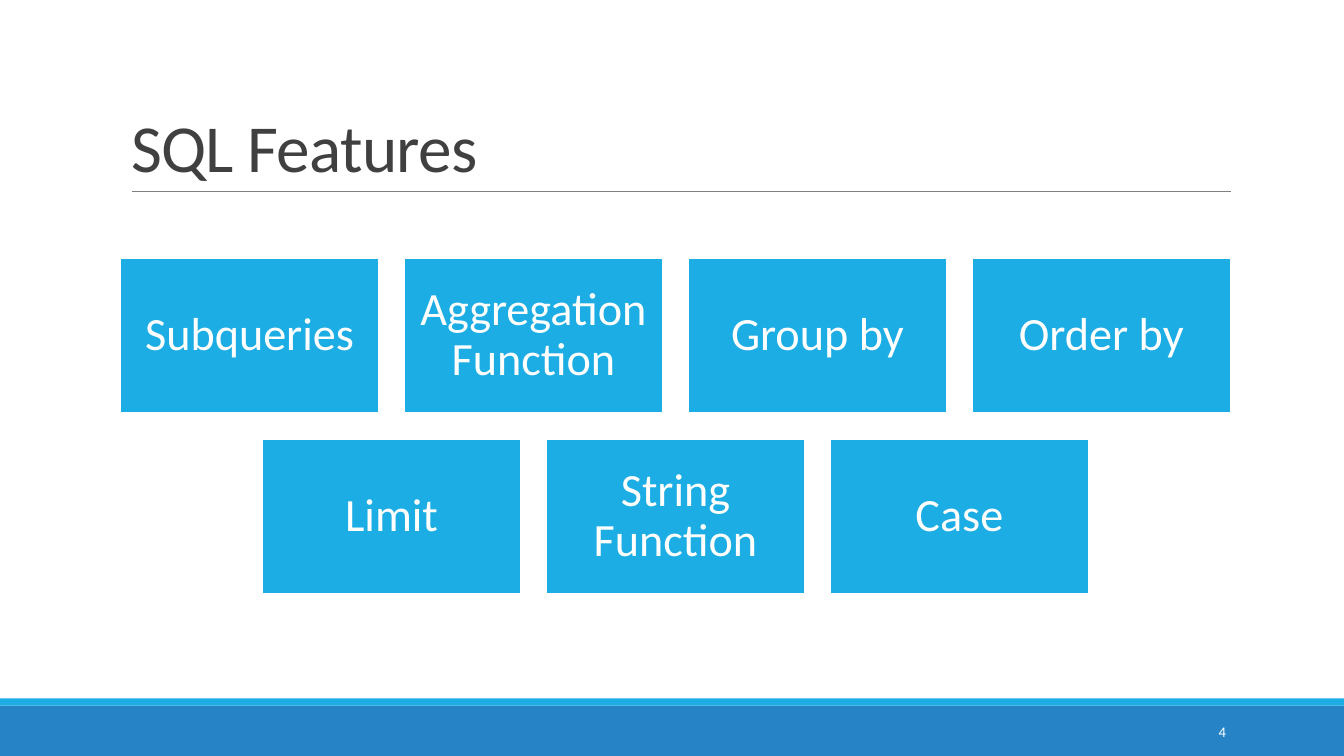
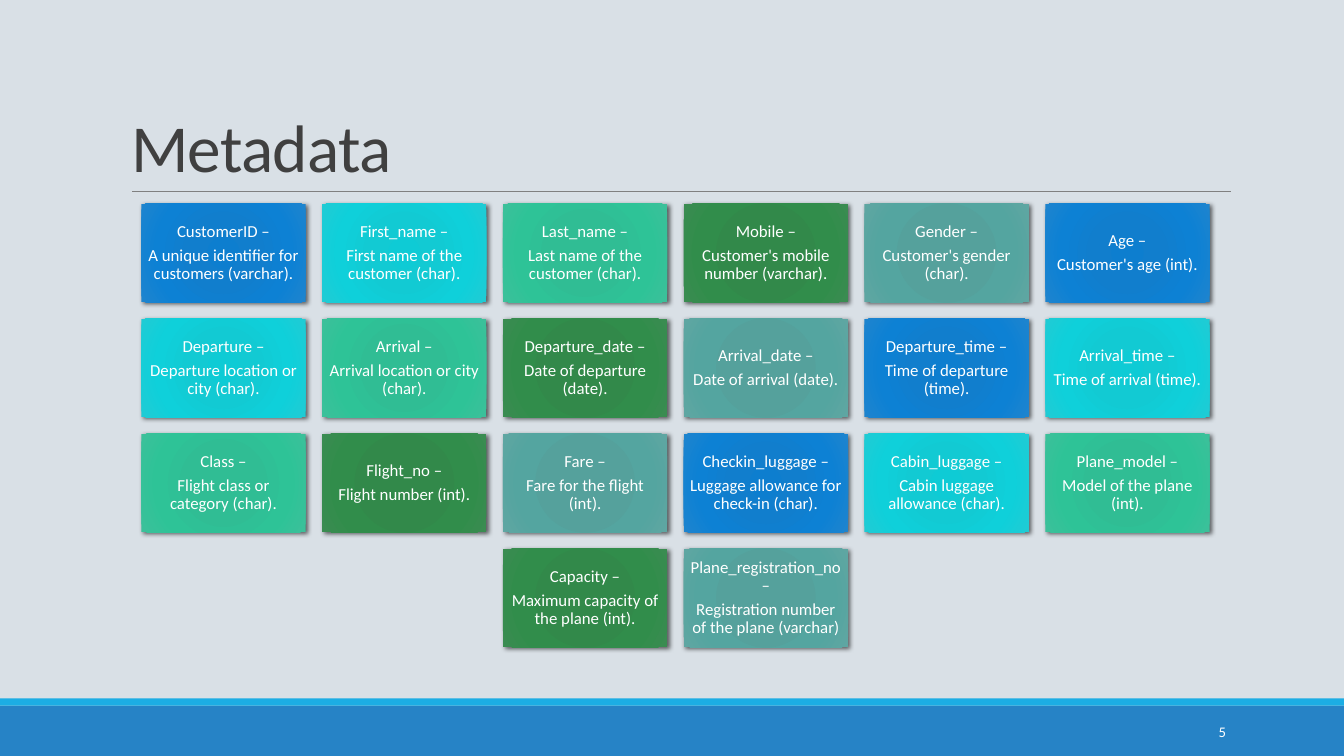
from itertools import cycle

from pptx import Presentation
from pptx import oxml
from pptx import util as u
from pptx.dml.color import RGBColor
from pptx.enum import shapes, text
from pptx.oxml.ns import nsdecls, qn

WIDTH, HEIGHT = 13.33, 7.5
CENTER = 6.7
FONT = "Calibri"
COLORS = {
    "white": "FFFFFF",
    "mist": "D9E0E6",
    "title": "404040",
    "rule": "808080",
    "band": "2683C6",
    "accent": "1CADE4",
    "shadow": "000000",
}
GRADIENTS = {
    "blue": ["0D7ECF", "117ECD", "0D81D4", "1E84CE"],
    "cyan": ["0ECBD5", "12CAD3", "0FD0DA", "20CBD4"],
    "mint": ["2DBE94", "30BD94", "2EC397", "3CC09A"],
    "green": ["2F8949", "32894A", "318D4B", "3A8C51"],
    "teal": ["52A19C", "55A19C", "54A5A0", "5FA6A2"],
}
STOPS = [0, 34, 70, 100]

FEATURES = ["Subqueries", "Aggregation Function", "Group by", "Order by",
            "Limit", "String Function", "Case"]
FIELDS = {
    "CustomerID": "A unique identifier for customers (varchar).",
    "First_name": "First name of the customer (char).",
    "Last_name": "Last name of the customer (char).",
    "Mobile": "Customer's mobile number (varchar).",
    "Gender": "Customer's gender (char).",
    "Age": "Customer's age (int).",
    "Departure": "Departure location or city (char).",
    "Arrival": "Arrival location or city (char).",
    "Departure_date": "Date of departure (date).",
    "Arrival_date": "Date of arrival (date).",
    "Departure_time": "Time of departure (time).",
    "Arrival_time": "Time of arrival (time).",
    "Class": "Flight class or category (char).",
    "Flight_no": "Flight number (int).",
    "Fare": "Fare for the flight (int).",
    "Checkin_luggage": "Luggage allowance for check-in (char).",
    "Cabin_luggage": "Cabin luggage allowance (char).",
    "Plane_model": "Model of the plane (int).",
    "Capacity": "Maximum capacity of the plane (int).",
    "Plane_registration_no": "Registration number of the plane (varchar)",
}


def write(box, lines, size, color="white", align=text.PP_ALIGN.CENTER,
          anchor=text.MSO_ANCHOR.MIDDLE, inset=None, leading=1.0, after=0, tracking=0):
    """Fill a shape with one paragraph per line, all in the same format."""
    frame = box.text_frame
    frame.word_wrap = True
    frame.auto_size = text.MSO_AUTO_SIZE.NONE
    frame.vertical_anchor = anchor
    if inset is not None:
        frame.margin_left = frame.margin_right = u.Inches(inset)
        frame.margin_top = frame.margin_bottom = u.Inches(inset)
    for index, line in enumerate(lines):
        para = frame.add_paragraph() if index else frame.paragraphs[0]
        para.alignment = align
        para.line_spacing = leading
        para.space_before = u.Pt(0)
        para.space_after = u.Pt(after)
        span = para.add_run()
        span.text = line
        span.font.name = FONT
        span.font.size = u.Pt(size)
        span.font.color.rgb = RGBColor.from_string(COLORS[color])
        if tracking:
            span._r.get_or_add_rPr().set("spc", str(round(tracking * 100)))


def add_cards(page, cards, columns, width, top, size, inset):
    """Lay out cards in centred rows; return their shapes in reading order."""
    height, gap = 0.6 * width, 0.1 * width
    drawn = []
    for index, lines in enumerate(cards):
        row, column = divmod(index, columns)
        in_row = min(columns, len(cards) - row * columns)
        left = CENTER - (in_row * (width + gap) - gap) / 2
        card = page.shapes.add_shape(
            shapes.MSO_SHAPE.RECTANGLE,
            u.Inches(left + column * (width + gap)),
            u.Inches(top + row * (height + gap)),
            u.Inches(width), u.Inches(height))
        card.shadow.inherit = False
        card.fill.solid()
        card.fill.fore_color.rgb = RGBColor.from_string(COLORS["accent"])
        card.line.fill.background()
        write(card, lines, size, inset=inset, leading=0.9, after=0.35 * size)
        drawn.append(card)
    return drawn


deck = Presentation()
deck.slide_width, deck.slide_height = u.Inches(WIDTH), u.Inches(HEIGHT)
layout = deck.slide_layouts.get_by_name("Title Only")

# Shared frame: title, rule, bands and page number
pages = []
for number, heading, backdrop in [(4, "SQL Features", "white"), (5, "Metadata", "mist")]:
    page = deck.slides.add_slide(layout)
    pages.append(page)
    page.background.fill.solid()
    page.background.fill.fore_color.rgb = RGBColor.from_string(COLORS[backdrop])

    for top, height, color in [(7, 0.5, "band"), (6.93, 0.07, "accent")]:
        band = page.shapes.add_shape(shapes.MSO_SHAPE.RECTANGLE, 0, u.Inches(top),
                                     deck.slide_width, u.Inches(height))
        band.shadow.inherit = False
        band.fill.solid()
        band.fill.fore_color.rgb = RGBColor.from_string(COLORS[color])
        band.line.fill.background()

    rule = page.shapes.add_connector(shapes.MSO_CONNECTOR.STRAIGHT, u.Inches(1.31),
                                     u.Inches(1.9), u.Inches(12.21), u.Inches(1.9))
    rule.line.color.rgb = RGBColor.from_string(COLORS["rule"])
    rule.line.width = u.Pt(0.5)
    rule.element.spPr.append(oxml.parse_xml(f"<a:effectLst {nsdecls('a')}/>"))

    title = page.shapes.title
    title.left, title.top = u.Inches(1.2), u.Inches(0.31)
    title.width, title.height = u.Inches(11), u.Inches(1.59)
    write(title, [heading], 48, color="title", align=text.PP_ALIGN.LEFT,
          anchor=text.MSO_ANCHOR.BOTTOM, leading=0.85, tracking=-0.5)

    page_number = page.shapes.add_textbox(u.Inches(10.83), u.Inches(7.06),
                                          u.Inches(1.43), u.Inches(0.4))
    write(page_number, [str(number)], 10.5, align=text.PP_ALIGN.RIGHT)

features_page, metadata_page = pages

# SQL features
for card in add_cards(features_page, [[name] for name in FEATURES], columns=4,
                      width=2.56, top=2.56, size=33, inset=0.14):
    card.line.color.rgb = RGBColor.from_string(COLORS["white"])
    card.line.width = u.Pt(1.25)

# Metadata: gradients cycle through the cards
fields = [[f"{name} –", meaning] for name, meaning in FIELDS.items()]
field_cards = add_cards(metadata_page, fields, columns=6, width=1.63, top=2.02,
                        size=12, inset=0.05)
for card, shades in zip(field_cards, cycle(GRADIENTS.values())):
    stops = "".join(f'<a:gs pos="{stop * 1000}"><a:srgbClr val="{shade}"/></a:gs>'
                    for stop, shade in zip(STOPS, shades))
    gradient = oxml.parse_xml(
        f'<a:gradFill {nsdecls("a")} rotWithShape="1"><a:gsLst>{stops}</a:gsLst>'
        '<a:path path="circle"><a:fillToRect l="100000" t="100000" r="100000" b="100000"/>'
        '</a:path></a:gradFill>')
    properties = card.element.spPr
    properties.replace(properties.find(qn("a:solidFill")), gradient)
    properties.find(qn("a:effectLst")).append(oxml.parse_xml(
        f'<a:outerShdw {nsdecls("a")} blurRad="{u.Pt(3.5)}" dist="{u.Pt(2)}" dir="2700000" '
        f'algn="tl" rotWithShape="0"><a:srgbClr val="{COLORS["shadow"]}">'
        '<a:alpha val="60000"/></a:srgbClr></a:outerShdw>'))

deck.save("out.pptx")
